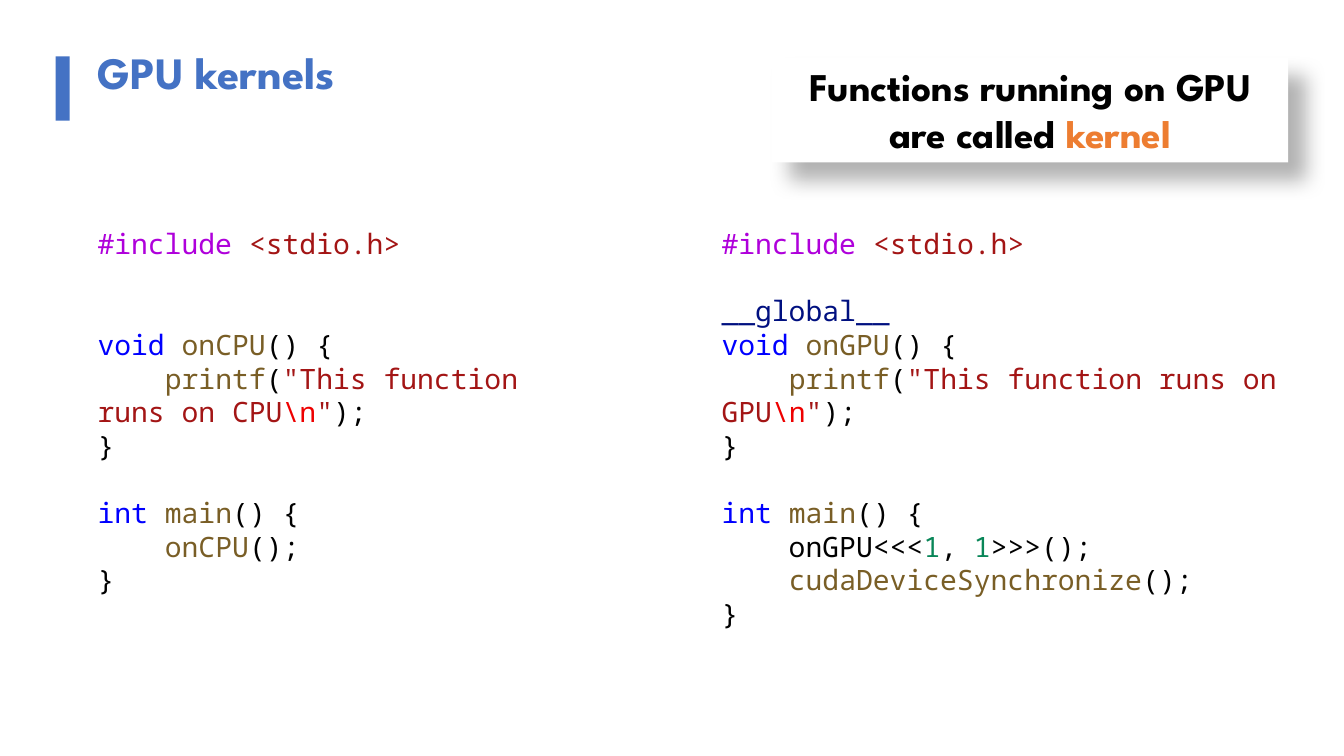
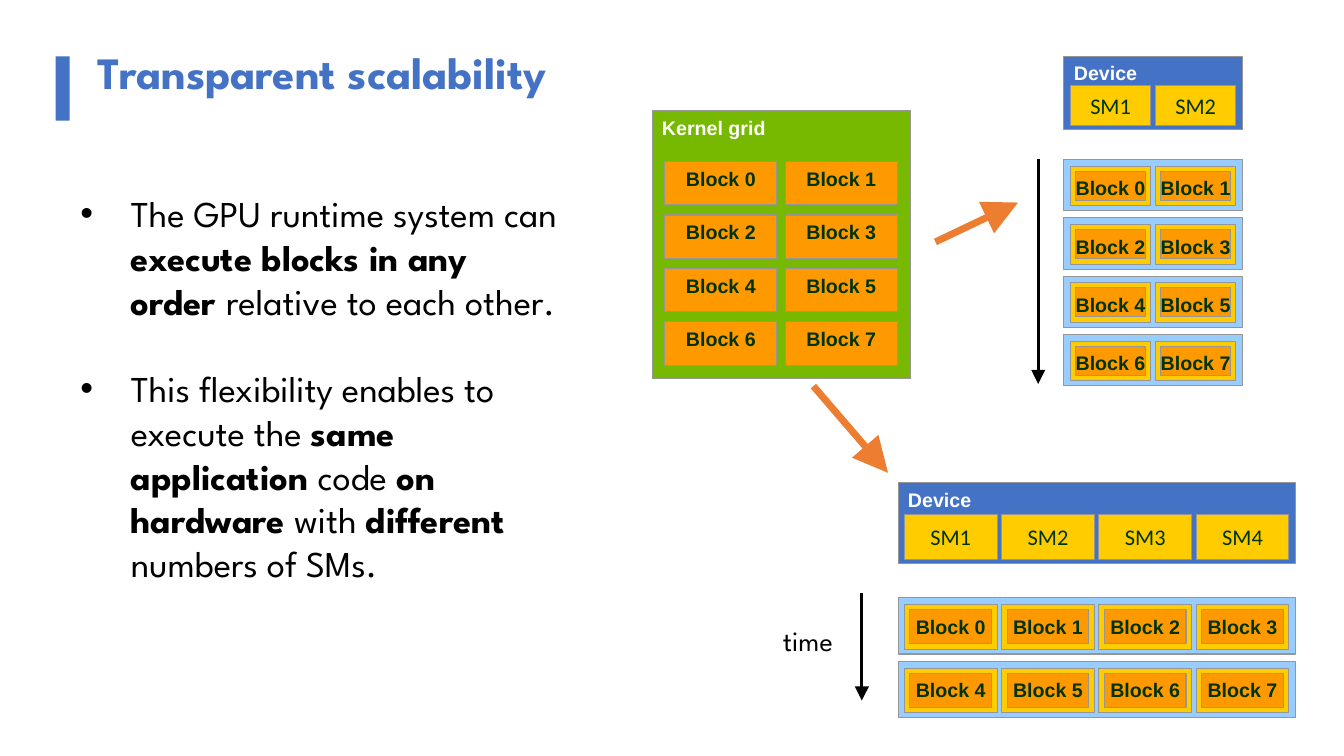
import pptx
import pptx.util
import pptx.dml.color
import pptx.enum.shapes
import pptx.enum.text
import pptx.oxml.ns
import lxml.etree

Pt = pptx.util.Pt
ALIGN = pptx.enum.text.PP_ALIGN
ANCHOR = pptx.enum.text.MSO_ANCHOR

COLORS = {
    "accent": "4472C4", "highlight": "ED7D31", "black": "000000", "white": "FFFFFF",
    "directive": "AF00DB", "string": "A31515", "keyword": "0000FF", "function": "795E26",
    "escape": "EE0000", "qualifier": "001080", "number": "098658",
    "grid": "76B900", "block": "FF9900", "core": "FFCC00", "row": "99CCFF",
    "outline": "969696", "label": "003300",
}
HEADING_FONT, CODE_FONT, LABEL_FONT, CORE_FONT = "League Spartan", "Noto Sans Mono", "Arial", "Calibri"
LINE_RATIO = 1.2


# ---- Shared helpers ----
def rgb(name):
    return pptx.dml.color.RGBColor.from_string(COLORS[name])


def add_xml(parent, tag, **attributes):
    child = lxml.etree.SubElement(parent, pptx.oxml.ns.qn(tag))
    for key, value in attributes.items():
        child.set(key, str(value))
    return child


def add_span(para, text, font, size, color, bold=False):
    span = para.add_run()
    span.text = text
    span.font.name = font
    span.font.size = Pt(size)
    span.font.bold = bold
    span.font.color.rgb = rgb(color)


def setup_frame(shape, wrap=True, anchor=ANCHOR.TOP):
    frame = shape.text_frame
    frame.auto_size = pptx.enum.text.MSO_AUTO_SIZE.NONE
    frame.word_wrap = wrap
    frame.vertical_anchor = anchor
    return frame


def add_text_box(page, box, wrap=True):
    return setup_frame(page.shapes.add_textbox(*map(Pt, box)), wrap)


def next_para(frame, index, size, gap=0):
    """Return the paragraph at index, with fixed line height and gap blank lines above."""
    para = frame.add_paragraph() if index else frame.paragraphs[0]
    para.line_spacing = Pt(size * LINE_RATIO)
    para.space_before = Pt(gap * size * LINE_RATIO)
    return para


def add_rectangle(page, box, fill, outlined=True):
    shape = page.shapes.add_shape(pptx.enum.shapes.MSO_SHAPE.RECTANGLE, *map(Pt, box))
    shape.shadow.inherit = False
    shape.fill.solid()
    shape.fill.fore_color.rgb = rgb(fill)
    if outlined:
        shape.line.color.rgb = rgb("outline")
        shape.line.width = Pt(0.75)
    else:
        shape.line.fill.background()
    return shape


def add_arrow(page, start, end, color, width):
    arrow = page.shapes.add_connector(
        pptx.enum.shapes.MSO_CONNECTOR.STRAIGHT, *map(Pt, (*start, *end)))
    arrow.line.color.rgb = rgb(color)
    arrow.line.width = Pt(width)
    properties = arrow._element.spPr
    add_xml(properties.find(pptx.oxml.ns.qn("a:ln")), "a:tailEnd",
            type="triangle", w="lg", len="lg")
    add_xml(properties, "a:effectLst")


def add_titled_page(deck, title):
    page = deck.slides.add_slide(deck.slide_layouts[5])
    add_rectangle(page, (39.8, 40.2, 10, 46), "accent", outlined=False)
    holder = page.shapes.title
    holder.left, holder.top, holder.width, holder.height = map(Pt, (62.6, 28, 635, 46))
    para = next_para(setup_frame(holder), 0, 32)
    para.alignment = ALIGN.LEFT
    add_span(para, title, HEADING_FONT, 32, "accent", bold=True)
    return page


# ---- Code slide ----
def add_code(page, box, lines):
    frame = add_text_box(page, box)
    for index, (gap, spans) in enumerate(lines):
        para = next_para(frame, index, 20, gap)
        for text, color in spans:
            add_span(para, text, CODE_FONT, 20, color)


def listing(name, include_gap, qualifier, call_lines):
    """Lines of one program: (blank lines above, coloured spans)."""
    lines = [(0, [("#include ", "directive"), ("<stdio.h>", "string")])]
    if qualifier:
        lines.append((include_gap, [(qualifier, "qualifier")]))
    return lines + [
        (0 if qualifier else include_gap,
         [("void ", "keyword"), (f"on{name}", "function"), ("() {", "black")]),
        (0, [("    ", "black"), ("printf", "function"), ("(", "black"),
             (f'"This function runs on {name}', "string"), ("\\n", "escape"),
             ('"', "string"), (");", "black")]),
        (0, [("}", "black")]),
        (1, [("int ", "keyword"), ("main", "function"), ("() {", "black")]),
        *[(0, spans) for spans in call_lines],
        (0, [("}", "black")]),
    ]


def add_callout(page, box):
    callout = add_rectangle(page, box, "white", outlined=False)
    effects = callout._element.spPr.find(pptx.oxml.ns.qn("a:effectLst"))
    shadow = add_xml(effects, "a:outerShdw", blurRad=Pt(15), dist=Pt(18),
                     dir=45 * 60000, algn="tl", rotWithShape=0)
    tint = add_xml(shadow, "a:srgbClr", val=COLORS["black"])
    add_xml(tint, "a:alpha", val=30000)
    para = next_para(setup_frame(callout), 0, 28)
    para.alignment = ALIGN.CENTER
    add_span(para, "Functions running on GPU are called ", HEADING_FONT, 28, "black", bold=True)
    add_span(para, "kernel", HEADING_FONT, 28, "highlight", bold=True)


def build_kernels(deck):
    page = add_titled_page(deck, "GPU kernels")
    cpu_calls = [[("    ", "black"), ("onCPU", "function"), ("();", "black")]]
    gpu_calls = [
        [("    onGPU<<<", "black"), ("1", "number"), (", ", "black"),
         ("1", "number"), (">>>();", "black")],
        [("    ", "black"), ("cudaDeviceSynchronize", "function"), ("();", "black")],
    ]
    add_code(page, (62.6, 158.4, 327, 274), listing("CPU", 2, None, cpu_calls))
    add_code(page, (508.3, 158.4, 412, 296), listing("GPU", 1, "__global__", gpu_calls))
    add_callout(page, (551.5, 41, 368.6, 75))


# ---- Scalability slide ----
def add_panel(page, box, fill, label):
    para = setup_frame(add_rectangle(page, box, fill)).paragraphs[0]
    para.alignment = ALIGN.LEFT
    add_span(para, label, LABEL_FONT, 14, "white", bold=True)


def add_block(page, box, number):
    para = setup_frame(add_rectangle(page, box, "block"), wrap=False).paragraphs[0]
    para.alignment = ALIGN.CENTER
    add_span(para, f"Block {number}", LABEL_FONT, 14, "label", bold=True)


def add_kernel_grid(page, box):
    left, top, _, _ = box
    add_panel(page, box, "grid", "Kernel grid")
    for number in range(8):
        row, column = divmod(number, 2)
        add_block(page, (left + 9.2 + 86 * column, top + 36.2 + 38.2 * row, 80, 31), number)


def add_device(page, box, cores, row_height, row_gap, rows_top):
    """Device header with its cores, then the rows of blocks they run."""
    left, top, width, height = box
    pad, gap, inset = 4.5, 3.2, 4
    core_width = (width - 2 * pad - (cores - 1) * gap) / cores
    core_height = row_height - 8.4
    core_lefts = [left + pad + index * (core_width + gap) for index in range(cores)]

    add_panel(page, box, "accent", "Device")
    for index, core_left in enumerate(core_lefts):
        core = add_rectangle(
            page, (core_left, top + height - 3.2 - core_height, core_width, core_height), "core")
        para = setup_frame(core, wrap=False, anchor=ANCHOR.MIDDLE).paragraphs[0]
        para.alignment = ALIGN.CENTER
        add_span(para, f"SM{index + 1}", CORE_FONT, 16, "label")

    for row in range(8 // cores):
        row_top = top + rows_top + row * (row_height + row_gap)
        add_rectangle(page, (left, row_top, width, row_height), "row")
        for index, core_left in enumerate(core_lefts):
            core_top = row_top + 4.9
            add_rectangle(page, (core_left, core_top, core_width, core_height), "core")
            add_block(page, (core_left + inset, core_top + inset - 0.4,
                             core_width - 2 * inset, core_height - 2 * inset + 0.4),
                      row * cores + index)


def add_bullets(page, box, points):
    frame = add_text_box(page, box)
    for index, spans in enumerate(points):
        para = next_para(frame, index, 26, gap=min(index, 1))
        properties = para._p.get_or_add_pPr()
        properties.set("marL", str(Pt(36)))
        properties.set("indent", str(-Pt(36)))
        add_xml(properties, "a:buFont", typeface="Arial")
        add_xml(properties, "a:buChar", char="•")
        for text, bold in spans:
            add_span(para, text, HEADING_FONT, 26, "black", bold)


def build_scalability(deck):
    page = add_titled_page(deck, "Transparent scalability")
    add_kernel_grid(page, (465.8, 79.2, 184.3, 191.5))

    # Four-core device, with its time axis
    add_device(page, (641.5, 345, 283.7, 57.6), 4, 40.2, 5.2, 82)
    add_arrow(page, (615.6, 423.4), (615.6, 500.4), "black", 2)
    para = next_para(add_text_box(page, (552.2, 442, 58, 32), wrap=False), 0, 20)
    add_span(para, "time", HEADING_FONT, 20, "black")

    # Two-core device, with its time axis
    add_device(page, (760, 40.3, 127.4, 52.4), 2, 36.7, 5, 73.5)
    add_arrow(page, (741.6, 113.8), (741.6, 274.3), "black", 2)

    # The grid runs on either device
    add_arrow(page, (668.2, 172.8), (727.2, 144.7), "highlight", 5)
    add_arrow(page, (581, 275.8), (634.3, 337.7), "highlight", 5)

    add_bullets(page, (50.4, 133.2, 357, 322.6), [
        [("The GPU runtime system can ", False), ("execute blocks in any order ", True),
         ("relative to each other.", False)],
        [("This flexibility enables to execute the ", False), ("same application", True),
         (" code ", False), ("on hardware", True), (" with ", False),
         ("different", True), (" numbers of SMs.", False)],
    ])


def main():
    deck = pptx.Presentation()
    deck.slide_width, deck.slide_height = Pt(960), Pt(540)
    build_kernels(deck)
    build_scalability(deck)
    deck.save("out.pptx")


if __name__ == "__main__":
    main()
